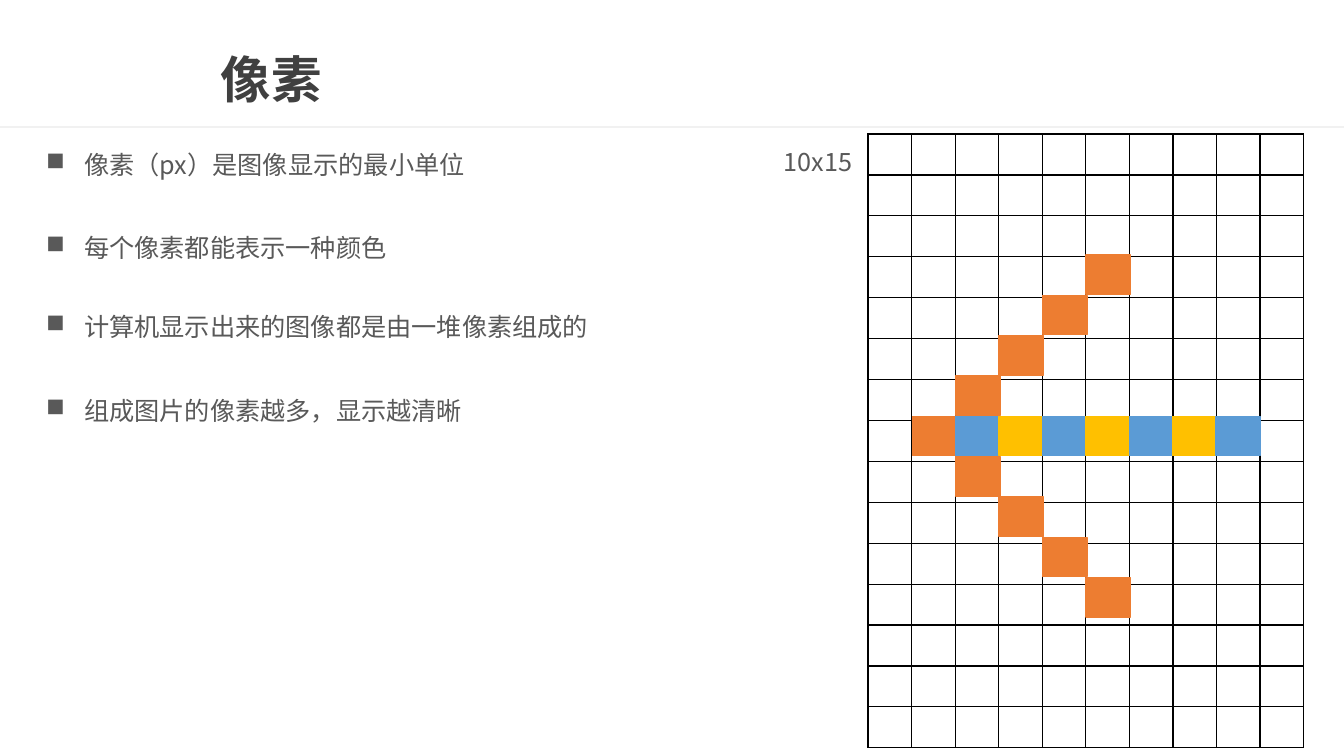
from dataclasses import dataclass

from lxml.etree import SubElement
from pptx import Presentation
from pptx.dml.color import RGBColor
from pptx.enum.shapes import MSO_SHAPE as Shape
from pptx.enum.text import MSO_ANCHOR as Anchor, PP_ALIGN as Align
from pptx.oxml import parse_xml
from pptx.oxml.ns import nsdecls, qn
from pptx.util import Inches, Pt


@dataclass(frozen=True)
class Theme:
    font: str = "Noto Sans CJK SC"
    title: str = "404040"
    body: str = "595959"
    rule: str = "F1F1F1"
    grid: str = "000000"
    orange: str = "ED7D31"
    blue: str = "5B9BD5"
    yellow: str = "FFC000"
    title_size: int = 36
    body_size: int = 18
    leading: int = 30


THEME = Theme()
WIDTH, HEIGHT = 13.33, 7.5

# Pixel grid, in inches
COLUMNS, ROWS = 10, 15
GRID_LEFT, GRID_TOP = 8.61, 1.33
COLUMN_WIDTH, ROW_HEIGHT = 0.432, 0.406

# Coloured pixels: the arrow's tip sits in the second column
TIP_LEFT, TIP_TOP = GRID_LEFT + 0.44, 4.13
STEP_X, STEP_Y = 0.43, 0.4
PIXEL_SIZE = (0.44, 0.39)
HEAD_LENGTH, SHAFT_LENGTH = 4, 7


def inches(*lengths):
    return [Inches(length) for length in lengths]


def add_block(slide, left, top, width, height, color):
    """A plain rectangle with a line of its own colour."""
    shape = slide.shapes.add_shape(Shape.RECTANGLE, *inches(left, top, width, height))
    shape.shadow.inherit = False
    shape.fill.solid()
    shape.fill.fore_color.rgb = RGBColor.from_string(color)
    shape.line.color.rgb = RGBColor.from_string(color)
    shape.line.width = Pt(1)
    return shape


def style_paragraph(paragraph, size, color, bold=False):
    font = paragraph.font
    font.name, font.size, font.bold = THEME.font, Pt(size), bold
    font.color.rgb = RGBColor.from_string(color)
    # East Asian text takes its own typeface
    SubElement(font._element, qn("a:ea"), typeface=THEME.font)


def add_bullet(paragraph):
    properties = paragraph._p.get_or_add_pPr()
    properties.set("marL", str(Inches(0.375)))
    properties.set("indent", str(Inches(-0.375)))
    bullet = parse_xml(f'<a:buChar {nsdecls("a")} char="■"/>')
    properties.find(qn("a:defRPr")).addprevious(bullet)


def add_text(slide, box, lines, bulleted=False, align=Align.LEFT):
    frame = slide.shapes.add_textbox(*inches(*box)).text_frame
    frame.word_wrap = True
    frame.text = "\n".join(lines)
    for index, paragraph in enumerate(frame.paragraphs):
        style_paragraph(paragraph, THEME.body_size, THEME.body)
        paragraph.alignment = align
        paragraph.line_spacing = Pt(THEME.leading)
        if index:
            paragraph.space_before = Pt(THEME.leading)
        if bulleted:
            add_bullet(paragraph)


def add_title(slide, text):
    frame = slide.shapes.add_textbox(*inches(2.09, 0.43, 11.03, 0.78)).text_frame
    frame.word_wrap = True
    frame.vertical_anchor = Anchor.MIDDLE
    frame.text = text
    paragraph = frame.paragraphs[0]
    style_paragraph(paragraph, THEME.title_size, THEME.title, bold=True)
    paragraph.line_spacing = 0.9


def add_borders(cell):
    properties = cell._tc.get_or_add_tcPr()
    for index, side in enumerate(("lnL", "lnR", "lnT", "lnB")):
        border = parse_xml(
            f'<a:{side} {nsdecls("a")} w="{Pt(1)}"><a:solidFill>'
            f'<a:srgbClr val="{THEME.grid}"/></a:solidFill></a:{side}>')
        properties.insert(index, border)


def add_pixel_grid(slide):
    size = (COLUMNS * COLUMN_WIDTH, ROWS * ROW_HEIGHT)
    table = slide.shapes.add_table(
        ROWS, COLUMNS, *inches(GRID_LEFT, GRID_TOP, *size)).table
    table.first_row = table.horz_banding = False
    for column in table.columns:
        column.width = Inches(COLUMN_WIDTH)
    for row in table.rows:
        row.height = Inches(ROW_HEIGHT)
    for cell in table.iter_cells():
        cell.margin_top = cell.margin_bottom = 0
        cell.fill.background()
        add_borders(cell)


def add_pixel(slide, column, row, color):
    left, top = TIP_LEFT + column * STEP_X, TIP_TOP + row * STEP_Y
    add_block(slide, left, top, *PIXEL_SIZE, color)


def add_arrow(slide):
    # Head: two diagonals meeting at the tip
    for row in range(-HEAD_LENGTH, HEAD_LENGTH + 1):
        add_pixel(slide, abs(row), row, THEME.orange)
    # Shaft: alternating colours
    for column in range(1, SHAFT_LENGTH + 1):
        add_pixel(slide, column, 0, THEME.blue if column % 2 else THEME.yellow)


def main():
    presentation = Presentation()
    presentation.slide_width, presentation.slide_height = inches(WIDTH, HEIGHT)
    slide = presentation.slides.add_slide(presentation.slide_layouts[6])

    # Heading
    rule = add_block(slide, 0, HEIGHT / 6, WIDTH, 0.02, THEME.rule)
    rule.line.fill.background()
    add_title(slide, "像素")

    # Bullet points
    for top, height, lines in (
        (1.32, 0.51, ["像素（px）是图像显示的最小单位"]),
        (2.14, 0.67, ["每个像素都能表示一种颜色"]),
        (2.92, 1.43, ["计算机显示出来的图像都是由一堆像素组成的",
                      "组成图片的像素越多，显示越清晰"]),
    ):
        add_text(slide, (0.36, top, 6.19, height), lines, bulleted=True)

    # Pixel drawing
    add_pixel_grid(slide)
    add_text(slide, (7.65, 1.29, 0.93, 0.51), [f"{COLUMNS}x{ROWS}"], align=Align.CENTER)
    add_arrow(slide)

    presentation.save("out.pptx")


if __name__ == "__main__":
    main()
